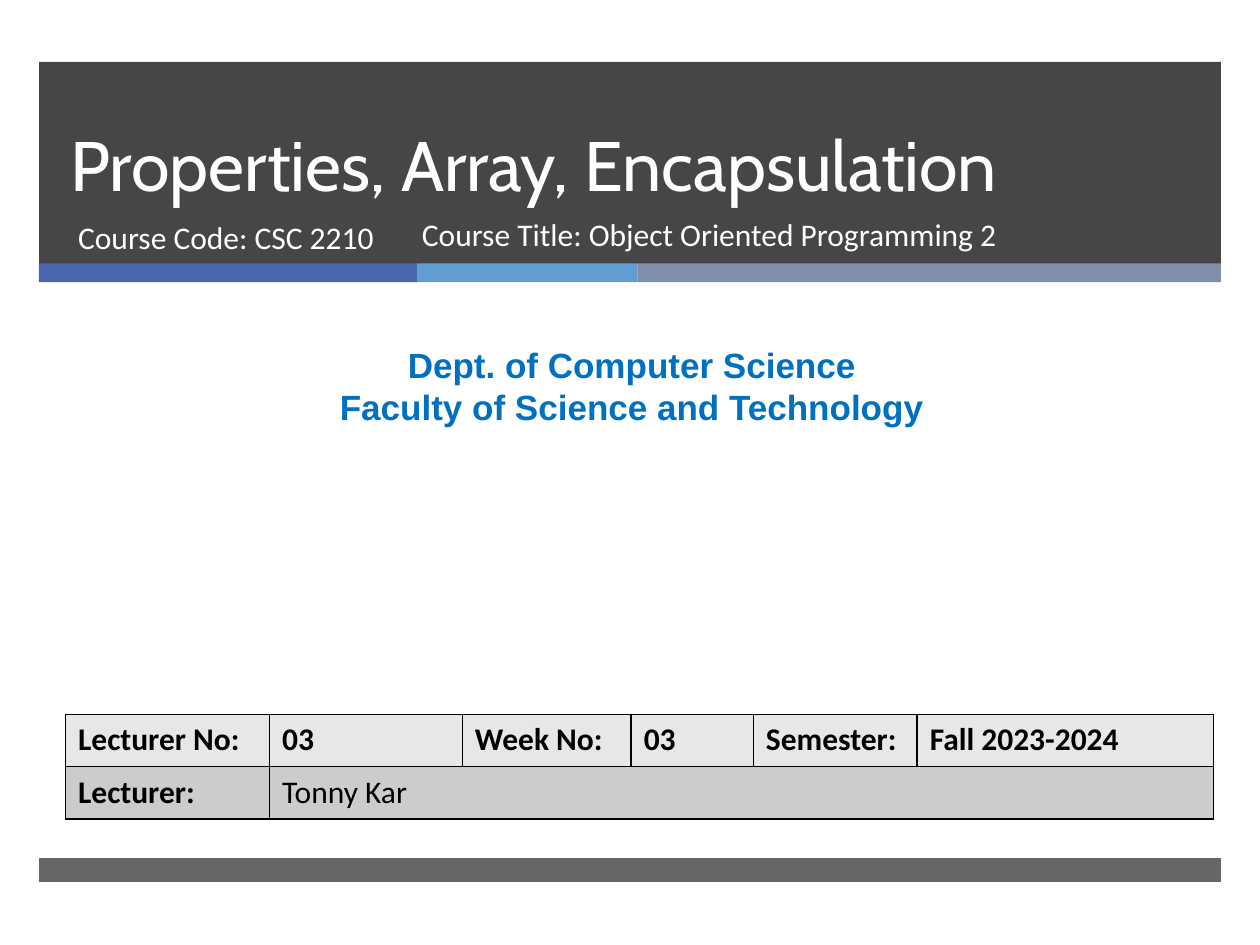
from lxml import etree
from pptx import Presentation
from pptx.dml.color import RGBColor
from pptx.enum.shapes import MSO_SHAPE
from pptx.enum.text import MSO_ANCHOR, MSO_AUTO_SIZE, PP_ALIGN
from pptx.oxml import parse_xml
from pptx.oxml.ns import nsdecls, qn
from pptx.util import Inches, Pt

RECTANGLE = MSO_SHAPE.RECTANGLE
LEFT, CENTER = PP_ALIGN.LEFT, PP_ALIGN.CENTER
TOP, BOTTOM = MSO_ANCHOR.TOP, MSO_ANCHOR.BOTTOM
COLORS = {
    "dark": "262626", "blue": "4A66AC", "sky": "629DD1", "slate": "7F8FA9",
    "white": "FFFFFF", "black": "000000", "department": "0070C0",
    "row 1": "E7E7E7", "row 2": "CCCCCC",
}


def color(name):
    return RGBColor.from_string(COLORS[name])


def write(frame, lines, font, size, color_name, bold=False, align=LEFT, anchor=TOP):
    """Fill a text frame with one formatted paragraph per line."""
    frame.word_wrap = True
    frame.vertical_anchor = anchor
    for index, line in enumerate(lines):
        paragraph = frame.add_paragraph() if index else frame.paragraphs[0]
        paragraph.alignment = align
        paragraph.space_before = Pt(0)
        run = paragraph.add_run()
        run.text = line
        run.font.name = font
        run.font.size = Pt(size)
        run.font.bold = bold
        run.font.color.rgb = color(color_name)


presentation = Presentation()
presentation.slide_width = Inches(10)
presentation.slide_height = Inches(7.5)
slide = presentation.slides.add_slide(presentation.slide_layouts[0])

# Header, accent strip and footer: left, top, width, height, colour, opacity %
bars = [
    (0.31, 0.49, 9.38, 1.61, "dark", 85),
    (0.31, 2.09, 3, 0.15, "blue", 100),
    (3.31, 2.09, 1.75, 0.15, "sky", 100),
    (5.06, 2.09, 4.63, 0.15, "slate", 100),
    (0.31, 6.81, 9.38, 0.19, "dark", 70),
]
for left, top, width, height, fill, opacity in bars:
    bar = slide.shapes.add_shape(
        RECTANGLE, Inches(left), Inches(top), Inches(width), Inches(height))
    bar.shadow.inherit = False
    bar.fill.solid()
    bar.fill.fore_color.rgb = color(fill)
    bar.line.fill.background()
    if opacity < 100:
        rgb = bar.fill._xPr.find(qn("a:solidFill"))[0]
        etree.SubElement(rgb, qn("a:alpha"), val=str(opacity * 1000))

# Title and course code, brought in front of the bars
title, course_code = slide.shapes.title, slide.placeholders[1]
for placeholder, (left, top, width, height) in (
        (title, (0.46, 0.49, 8.54, 1.19)), (course_code, (0.52, 1.68, 3.05, 0.53))):
    placeholder.left, placeholder.top = Inches(left), Inches(top)
    placeholder.width, placeholder.height = Inches(width), Inches(height)
    placeholder.text_frame.auto_size = MSO_AUTO_SIZE.NONE
    slide.shapes._spTree.append(placeholder._element)
write(title.text_frame, ["Properties, Array, Encapsulation"], "Cabin", 40, "white",
      anchor=BOTTOM)
title.text_frame.paragraphs[0].line_spacing = Pt(46)
write(course_code.text_frame, ["Course Code: CSC 2210"], "Calibri", 18, "white")

course_title = slide.shapes.add_textbox(
    Inches(3.25), Inches(1.66), Inches(5.11), Inches(0.53))
write(course_title.text_frame, ["Course Title: Object Oriented Programming 2"],
      "Calibri", 18, "white")

department = slide.shapes.add_textbox(
    Inches(0.08), Inches(2.68), Inches(9.87), Inches(0.77))
write(department.text_frame,
      ["Dept. of Computer Science", "Faculty of Science and Technology"],
      "Arial", 20, "department", bold=True, align=CENTER)

# Lecture details
rows = [
    ["Lecturer No:", "03", "Week No:", "03", "Semester:", "Fall 2023-2024"],
    ["Lecturer:", "Tonny Kar"],
]
column_widths = [1.62, 1.53, 1.34, 0.97, 1.3, 2.35]
table = slide.shapes.add_table(
    len(rows), len(column_widths),
    Inches(0.52), Inches(5.67), Inches(9.12), Inches(0.83)).table
for column, width in zip(table.columns, column_widths):
    column.width = Inches(width)
for row_index, texts in enumerate(rows):
    for column_index in range(len(column_widths)):
        cell = table.cell(row_index, column_index)
        properties = cell._tc.get_or_add_tcPr()
        for side in ("lnL", "lnR", "lnT", "lnB"):
            properties.append(parse_xml(
                f'<a:{side} {nsdecls("a")} w="12700"><a:solidFill>'
                f'<a:srgbClr val="{COLORS["black"]}"/></a:solidFill></a:{side}>'))
        cell.fill.solid()
        cell.fill.fore_color.rgb = color(f"row {row_index + 1}")
        if column_index < len(texts):
            text = texts[column_index]
            write(cell.text_frame, [text], "Calibri", 18, "black",
                  bold=text != "Tonny Kar")
table.cell(1, 1).merge(table.cell(1, 5))

presentation.save("out.pptx")
